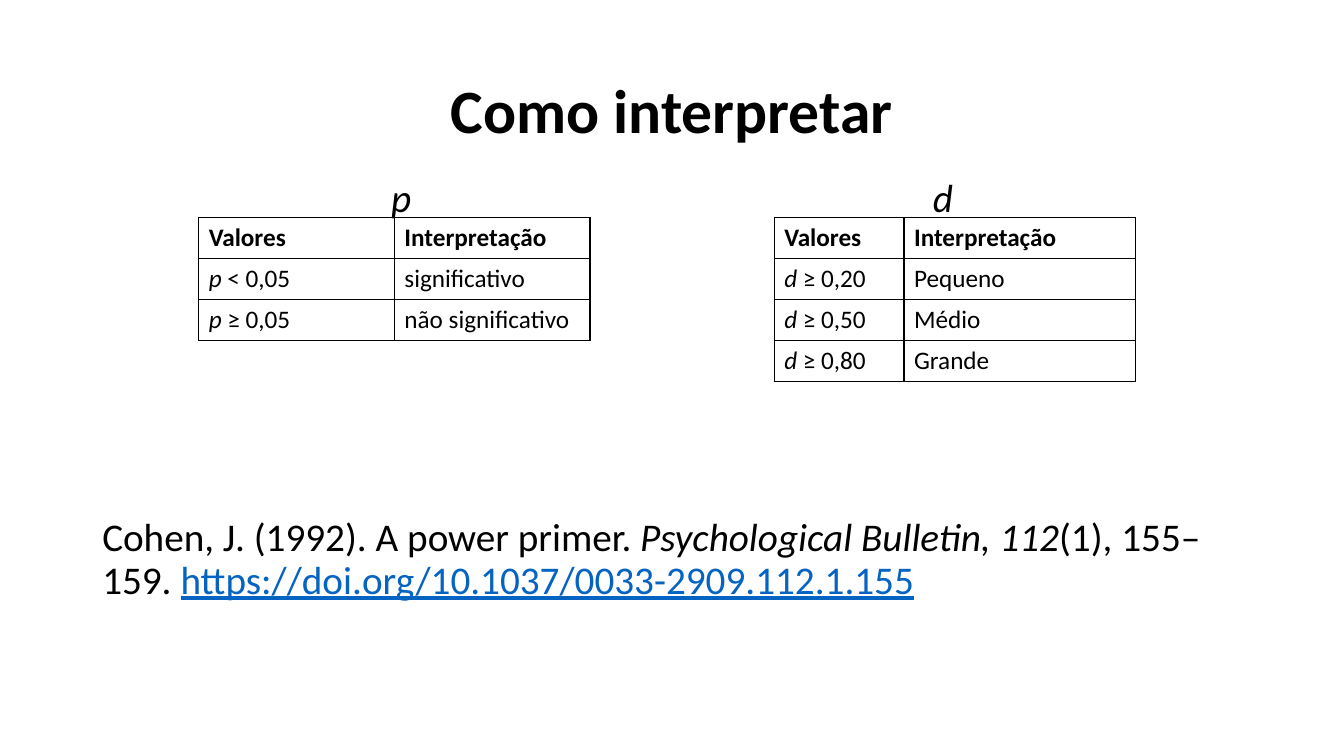
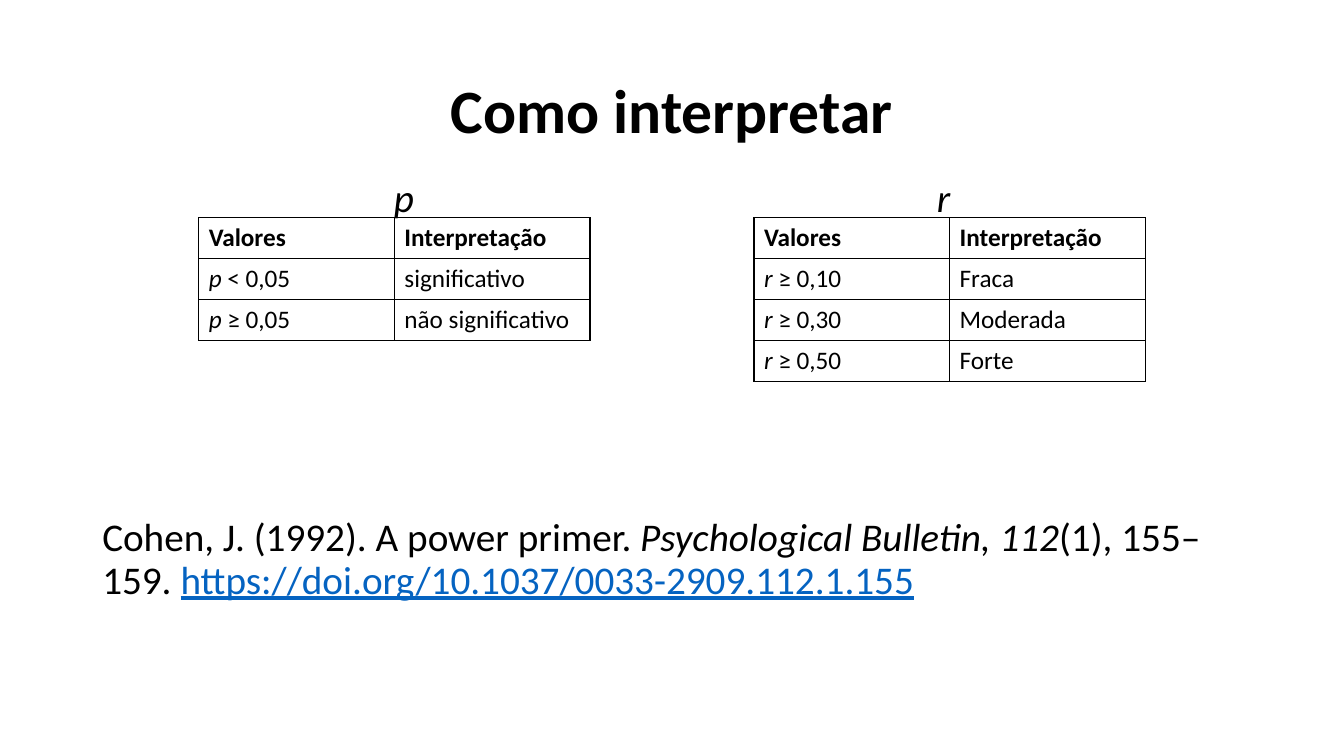
from lxml import etree
from pptx import Presentation
from pptx.dml.color import RGBColor
from pptx.enum.text import MSO_ANCHOR, PP_ALIGN
from pptx.oxml.ns import qn
from pptx.util import Pt

LEFT, CENTER = PP_ALIGN.LEFT, PP_ALIGN.CENTER
TOP, MIDDLE = MSO_ANCHOR.TOP, MSO_ANCHOR.MIDDLE
BLACK, BLUE = "000000", "0563C1"
BOLD, ITALIC = {"bold": True}, {"italic": True}
LINK = {"underline": True, "color": BLUE}


def tint(color, shade):
    color.rgb = RGBColor.from_string(shade)


class Deck:
    """Holds the shared style and the current slide."""

    face = "Calibri"
    side, width = 66, 828
    table_top, row = 155.5, 29.2

    def __init__(self):
        self.show = Presentation()
        self.show.slide_width, self.show.slide_height = Pt(960), Pt(540)

    def start(self):
        self.slide = self.show.slides.add_slide(self.show.slide_layouts[6])

    def fill_in(self, para, runs, size):
        for text, style in runs:
            run = para.add_run()
            run.text = text
            form = {"name": self.face, "size": Pt(size), "color": BLACK, **style}
            tint(run.font.color, form.pop("color"))
            for key, value in form.items():
                setattr(run.font, key, value)

    def text(self, runs, left, top, width, height, size=28, align=LEFT, anchor=TOP):
        box = self.slide.shapes.add_textbox(Pt(left), Pt(top), Pt(width), Pt(height))
        frame = box.text_frame
        para = frame.paragraphs[0]
        frame.word_wrap, frame.vertical_anchor = True, anchor
        para.alignment, para.line_spacing = align, 0.9
        self.fill_in(para, runs, size)

    def title(self, text):
        self.text([(text, BOLD)], self.side, 28.75, self.width, 104.4, 44, CENTER, MIDDLE)

    def symbol(self, sign, middle):
        self.text([(sign, ITALIC)], middle - 20, 124, 40, 38, align=CENTER)

    def border(self, cell):
        props = cell._tc.get_or_add_tcPr()
        for edge in ("lnL", "lnR", "lnT", "lnB"):
            line = etree.SubElement(props, qn("a:" + edge), w=str(Pt(1)))
            fill = etree.SubElement(line, qn("a:solidFill"))
            etree.SubElement(fill, qn("a:srgbClr"), val=BLACK)

    def table(self, sign, rows, left, cols):
        cells = [[[("Valores", BOLD)], [("Interpretação", BOLD)]]]
        cells += [[[(sign, ITALIC), (" " + limit, {})], [(word, {})]] for limit, word in rows]
        high = self.row * len(cells)
        grid = self.slide.shapes.add_table(
            len(cells), len(cols), Pt(left), Pt(self.table_top), Pt(sum(cols)), Pt(high)
        ).table
        grid.first_row = grid.horz_banding = False
        for col, width in zip(grid.columns, cols):
            col.width = Pt(width)
        for line, parts in zip(grid.rows, cells):
            line.height = Pt(self.row)
            for cell, runs in zip(line.cells, parts):
                self.border(cell)
                cell.fill.background()
                self.fill_in(cell.text_frame.paragraphs[0], runs, 18)

    def source(self, runs):
        self.text(runs, self.side, 366.5, self.width, 72)


EVEN = (139.7, 139.7)
LEVELS = [("< 0,05", "significativo"), ("≥ 0,05", "não significativo")]
SOURCE = [
    ("Cohen, J. (1992). A power primer. ", {}),
    ("Psychological Bulletin, 112", ITALIC),
    ("(1), 155–159. ", {}),
    ("https://doi.org/10.1037/0033-2909.112.1.155", LINK),
]
EFFECTS = [
    ("d", 286.5, 673.5, 553, (92.7, 165.3),
     [("≥ 0,20", "Pequeno"), ("≥ 0,50", "Médio"), ("≥ 0,80", "Grande")]),
    ("r", 288.5, 674, 538.6, EVEN,
     [("≥ 0,10", "Fraca"), ("≥ 0,30", "Moderada"), ("≥ 0,50", "Forte")]),
]


def main():
    deck = Deck()
    for sign, first, second, left, cols, rows in EFFECTS:
        deck.start()
        deck.title("Como interpretar")
        deck.symbol("p", first)
        deck.symbol(sign, second)
        deck.source(SOURCE)
        deck.table("p", LEVELS, 142, EVEN)
        deck.table(sign, rows, left, cols)
    deck.show.save("out.pptx")


if __name__ == "__main__":
    main()
